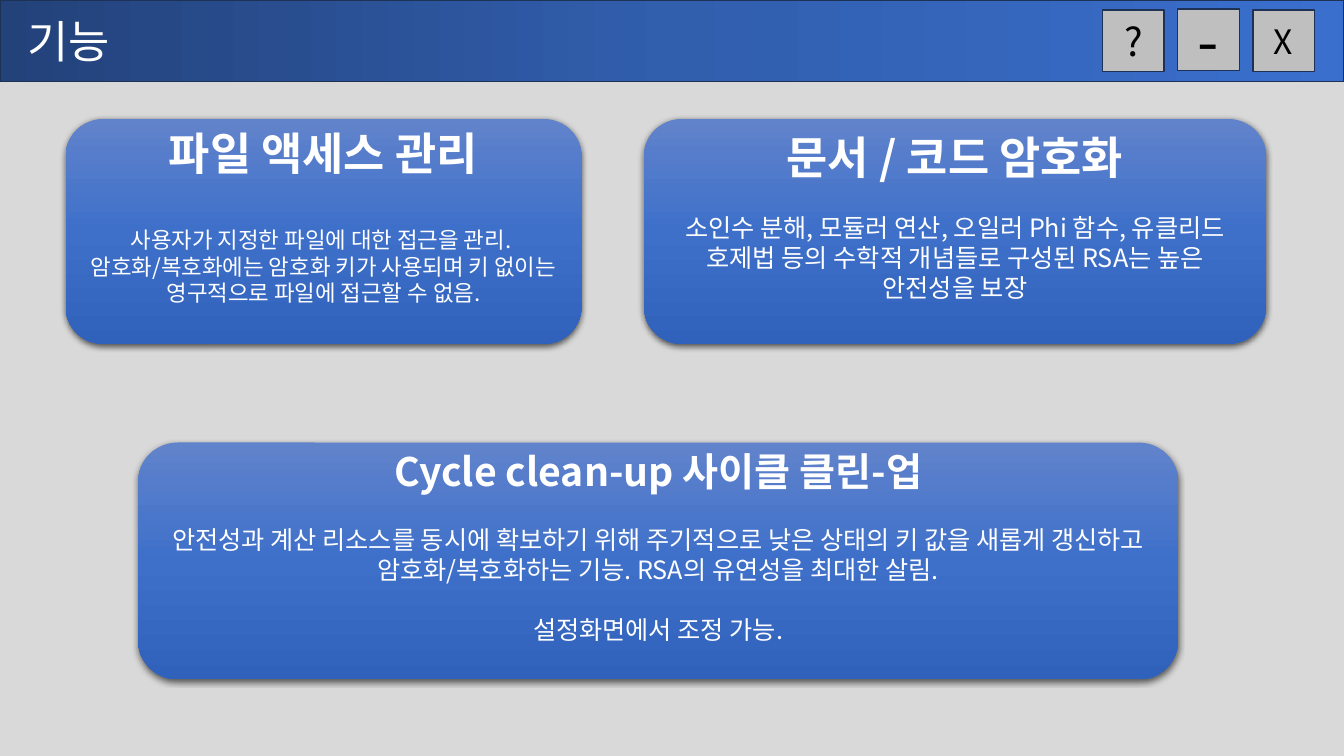
"""Build the feature overview slide with a window-style title bar and three cards."""
from copy import deepcopy

from lxml.etree import SubElement
from pptx import Presentation
from pptx.dml.color import RGBColor
from pptx.enum.shapes import MSO_SHAPE as Shape
from pptx.enum.text import MSO_ANCHOR as Anchor, PP_ALIGN as Align
from pptx.oxml.ns import qn
from pptx.util import Pt

BACKGROUND = RGBColor(0xD9, 0xD9, 0xD9)
BUTTON_GRAY = RGBColor(0xBF, 0xBF, 0xBF)
OUTLINE = RGBColor(0x1E, 0x32, 0x56)
WHITE = RGBColor(0xFF, 0xFF, 0xFF)
BLACK = RGBColor(0x00, 0x00, 0x00)
BAR_COLORS = [RGBColor(0x23, 0x42, 0x7A), RGBColor(0x31, 0x5E, 0xAD), RGBColor(0x3A, 0x6F, 0xCE)]
CARD_COLORS = [RGBColor(0x61, 0x83, 0xCB), RGBColor(0x3E, 0x70, 0xCA), RGBColor(0x30, 0x62, 0xBB)]
BAR_FONT = "Noto Sans CJK JP"
CARD_FONT = "Noto Sans CJK KR"
LINE_FACTOR = 1.19


def fill_gradient(shape, colors, angle):
    shape.fill.gradient()
    shape.fill.gradient_angle = angle
    stop_list = shape._element.spPr.find(".//" + qn("a:gsLst"))
    stop_list.insert(1, deepcopy(stop_list[0]))
    for index, (stop, color) in enumerate(zip(shape.fill.gradient_stops, colors)):
        stop.position = index / 2
        stop.color.rgb = color


def add_text(paragraph, text, size, font, color, align, bold=False):
    paragraph.alignment = align
    paragraph.line_spacing = Pt(round(size * LINE_FACTOR, 1))
    run = paragraph.add_run()
    run.text = text
    run.font.size = Pt(size)
    run.font.name = font
    run.font.bold = bold
    run.font.color.rgb = color
    SubElement(run._r.get_or_add_rPr(), qn("a:ea"), typeface=font)


presentation = Presentation()
presentation.slide_width = Pt(960)
presentation.slide_height = Pt(540)
slide = presentation.slides.add_slide(presentation.slide_layouts[5])
slide.background.fill.solid()
slide.background.fill.fore_color.rgb = BACKGROUND

title_bar = slide.shapes.add_shape(Shape.RECTANGLE, 0, 0, Pt(960), Pt(58.3))
title_bar.shadow.inherit = False
fill_gradient(title_bar, BAR_COLORS, 0)
title_bar.line.color.rgb = OUTLINE
title_bar.line.width = Pt(1)

title = slide.shapes.title
title_bar._element.addnext(title._element)
title.left, title.top, title.width, title.height = Pt(12.2), Pt(6.5), Pt(262.8), Pt(46)
title.text_frame.vertical_anchor = Anchor.TOP
add_text(title.text_frame.paragraphs[0], "기능", 32, BAR_FONT, WHITE, Align.LEFT)

buttons = [("?", 28, 7.2), ("-", 44, 6.5), ("X", 24, 7.2)]
for index, (symbol, size, top) in enumerate(buttons):
    button = slide.shapes.add_shape(
        Shape.RECTANGLE, Pt(787.7 + 53.6 * index), Pt(top), Pt(43.9), Pt(43.9))
    button.shadow.inherit = False
    button.fill.solid()
    button.fill.fore_color.rgb = BUTTON_GRAY
    button.line.color.rgb = OUTLINE
    button.line.width = Pt(1)
    button.text_frame.vertical_anchor = Anchor.MIDDLE
    add_text(button.text_frame.paragraphs[0], symbol, size, BAR_FONT, BLACK, Align.CENTER)

cards = [
    ((460, 85, 444.3, 160.6), "문서 / 코드 암호화", 32, 21.4, 18, 0,
     ["소인수 분해, 모듈러 연산, 오일러 Phi 함수, 유클리드 호제법 등의 수학적 개념들로 "
      "구성된 RSA는 높은 안전성을 보장"]),
    ((46.8, 85, 368.6, 160.6), "파일 액세스 관리", 32, 33.4, 16, 0,
     ["사용자가 지정한 파일에 대한 접근을 관리. ",
      "암호화/복호화에는 암호화 키가 사용되며 키 없이는 영구적으로 파일에 접근할 수 없음."]),
    ((98.6, 316.1, 743, 169.2), "Cycle clean-up 사이클 클린-업", 28, 21.4, 18, 21.4,
     ["안전성과 계산 리소스를 동시에 확보하기 위해 주기적으로 낮은 상태의 키 값을 새롭게 "
      "갱신하고 암호화/복호화하는 기능. RSA의 유연성을 최대한 살림.",
      "설정화면에서 조정 가능."]),
]
for box, heading, heading_size, heading_gap, body_size, body_gap, body in cards:
    card = slide.shapes.add_shape(Shape.ROUNDED_RECTANGLE, *map(Pt, box))
    fill_gradient(card, CARD_COLORS, 270)
    card.line.fill.background()
    card.shadow.inherit = False
    effects = card._element.spPr.find(qn("a:effectLst"))
    shadow = SubElement(effects, qn("a:outerShdw"), blurRad=str(Pt(4.5)), dist=str(Pt(1.5)),
                        dir="5400000", algn="ctr", rotWithShape="0")
    shadow_color = SubElement(shadow, qn("a:srgbClr"), val=str(BLACK))
    SubElement(shadow_color, qn("a:alpha"), val="63000")

    frame = card.text_frame
    frame.vertical_anchor = Anchor.MIDDLE
    frame.margin_bottom = Pt(25)
    add_text(frame.paragraphs[0], heading, heading_size, CARD_FONT, WHITE, Align.CENTER, True)
    frame.paragraphs[0].space_after = Pt(heading_gap)
    for index, text in enumerate(body):
        paragraph = frame.add_paragraph()
        add_text(paragraph, text, body_size, CARD_FONT, WHITE, Align.CENTER)
        paragraph.space_before = Pt(body_gap if index else 0)

presentation.save("out.pptx")
